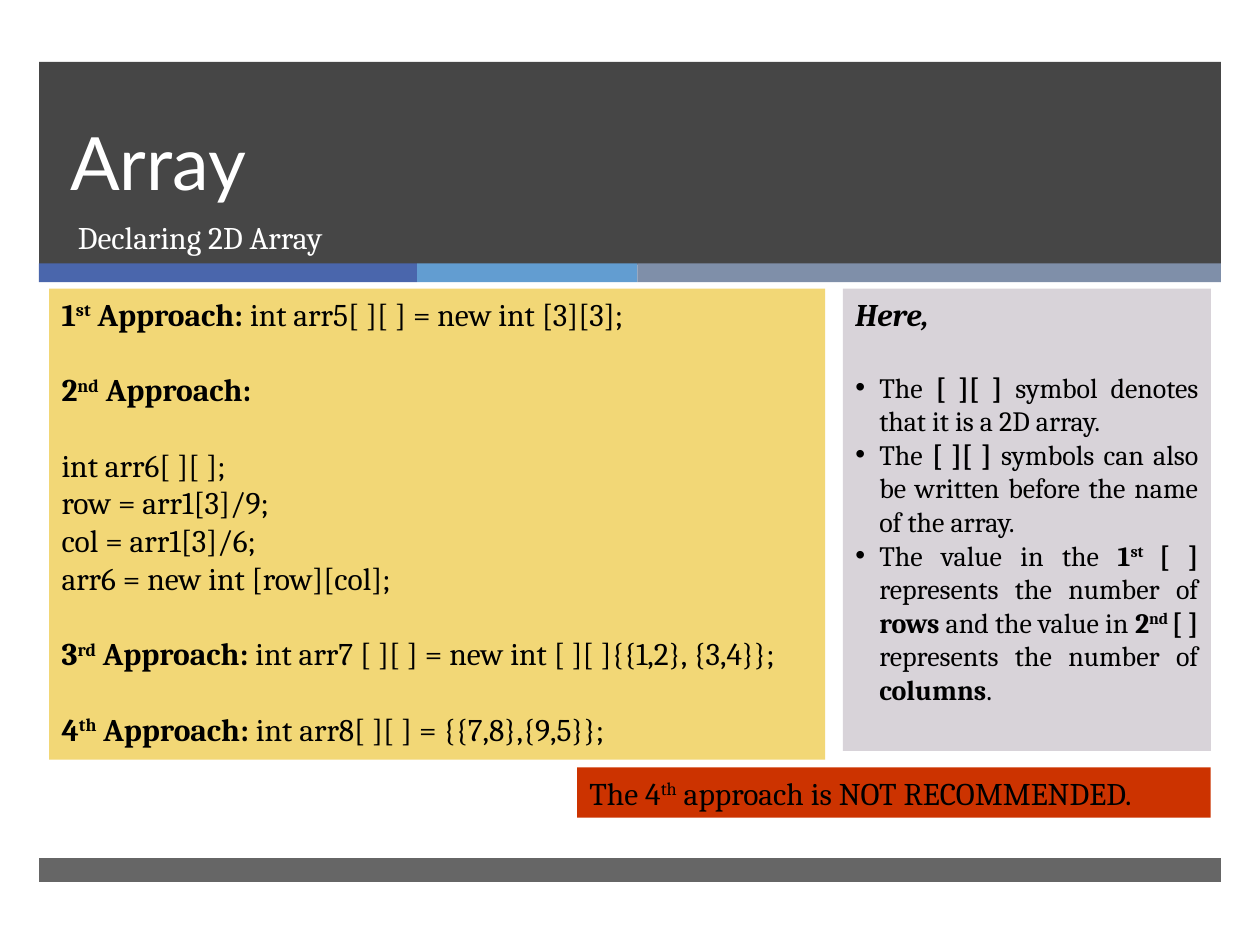
from pptx import Presentation
from pptx.dml.color import RGBColor
from pptx.enum.shapes import MSO_SHAPE as Preset
from pptx.enum.text import MSO_ANCHOR as Anchor, PP_ALIGN as Align
from pptx.oxml.xmlchemy import OxmlElement
from pptx.util import Inches, Pt

BLACK, WHITE, CHARCOAL = "000000", "FFFFFF", "262626"
BLANK_LINE = 21.5  # points, the height of one 18-point line
MARGIN, CONTENT_WIDTH = 0.31, 9.38


def color(hex_code):
    return RGBColor.from_string(hex_code)


class SlideBuilder:
    def __init__(self, slide, font="Cambria", size=18):
        self.slide, self.font, self.size = slide, font, size

    def box(self, left, top, width, height, fill, opacity=100):
        shape = self.slide.shapes.add_shape(
            Preset.RECTANGLE, Inches(left), Inches(top), Inches(width), Inches(height))
        shape.shadow.inherit = False
        shape.fill.solid()
        shape.fill.fore_color.rgb = color(fill)
        shape.line.fill.background()
        if opacity < 100:
            alpha = OxmlElement("a:alpha")
            alpha.set("val", str(opacity * 1000))
            shape._element.spPr.find(".//{*}srgbClr").append(alpha)
        return shape

    def heading(self, left, top, width, height, text, size, font=None,
                anchor=Anchor.TOP, line_spacing=None):
        shape = self.slide.shapes.add_textbox(
            Inches(left), Inches(top), Inches(width), Inches(height))
        shape.text_frame.word_wrap = True
        shape.text_frame.vertical_anchor = anchor
        paragraph = shape.text_frame.paragraphs[0]
        paragraph.line_spacing = line_spacing
        self.add_text(paragraph, text, WHITE, size, font)

    def panel(self, left, top, width, height, fill, lines):
        """Filled box of justified lines, each a text and its paragraph options."""
        frame = self.box(left, top, width, height, fill).text_frame
        frame.word_wrap = True
        frame.vertical_anchor = Anchor.TOP
        for index, (text, options) in enumerate(lines):
            paragraph = frame.add_paragraph() if index else frame.paragraphs[0]
            paragraph.alignment = Align.JUSTIFY
            if options.get("gap"):
                paragraph.space_before = Pt(BLANK_LINE)
            if options.get("bullet"):
                self.bullet(paragraph)
            self.add_text(paragraph, text, BLACK, options.get("size"))
            if options.get("italic"):
                paragraph.font.italic = True

    def bullet(self, paragraph, indent=0.19):
        properties = paragraph._p.get_or_add_pPr()
        properties.set("marL", str(Inches(indent)))
        properties.set("indent", str(-Inches(indent)))
        for tag, name, value in (("a:buFont", "typeface", "Arial"), ("a:buChar", "char", "•")):
            element = OxmlElement(tag)
            element.set(name, value)
            properties.append(element)

    def add_text(self, paragraph, text, text_color, size=None, font=None):
        """Add text in which * switches bold and ^ switches superscript."""
        paragraph.font.name = font or self.font
        paragraph.font.size = Pt(size or self.size)
        paragraph.font.color.rgb = color(text_color)
        for bold_index, chunk in enumerate(text.split("*")):
            for raised_index, piece in enumerate(chunk.split("^")):
                if not piece:
                    continue
                run = paragraph.add_run()
                run.text = piece
                if bold_index % 2:
                    run.font.bold = True
                if raised_index % 2:
                    run.font._element.set("baseline", "30000")


def main():
    presentation = Presentation()
    presentation.slide_width, presentation.slide_height = Inches(10), Inches(7.5)
    builder = SlideBuilder(presentation.slides.add_slide(presentation.slide_layouts[6]))

    builder.box(MARGIN, 0.49, CONTENT_WIDTH, 1.61, CHARCOAL, opacity=85)
    left = MARGIN
    for width, fill in ((3, "4A66AC"), (1.75, "629DD1"), (4.63, "7F8FA9")):
        builder.box(left, 2.09, width, 0.15, fill)
        left += width
    builder.box(MARGIN, 6.81, CONTENT_WIDTH, 0.19, CHARCOAL, opacity=70)

    builder.heading(0.46, 0.49, 8.54, 1.19, "Array", 42, "Lato", Anchor.BOTTOM, Pt(46))
    builder.heading(0.52, 1.68, 8.48, 0.53, "Declaring 2D Array", 18)

    plain, spaced = {}, {"gap": True}
    builder.panel(0.39, 2.29, 6.16, 3.74, "F2D776", [
        ("*1^st^ Approach: *int arr5[ ][ ] = new int [3][3];", plain),
        ("*2^nd^ Approach:*", spaced),
        ("int arr6[ ][ ];", spaced),
        ("row = arr1[3]/9;", plain),
        ("col = arr1[3]/6;", plain),
        ("arr6 = new int [row][col];", plain),
        ("*3^rd^ Approach: *int arr7 [ ][ ] = new int [ ][ ]{{1,2}, {3,4}};", spaced),
        ("*4^th^ Approach: *int arr8[ ][ ] = {{7,8},{9,5}};", spaced),
    ])

    item = {"bullet": True, "size": 16}
    builder.panel(6.69, 2.29, 2.92, 3.67, "D8D3D9", [
        ("*Here,*", {"italic": True}),
        ("The *[ ][ ] *symbol denotes that it is a 2D array.", item | spaced),
        ("The *[ ][ ]* symbols can also be written before the name of the array.", item),
        ("The value in the *1^st ^[ ]* represents the number of *rows* and the value in "
         "*2^nd ^[ ]* represents the number of *columns*.", item),
    ])

    builder.panel(4.58, 6.09, 5.03, 0.4, "CC3300",
                  [("The 4^th^ approach is NOT RECOMMENDED.", plain)])

    presentation.save("out.pptx")


if __name__ == "__main__":
    main()
